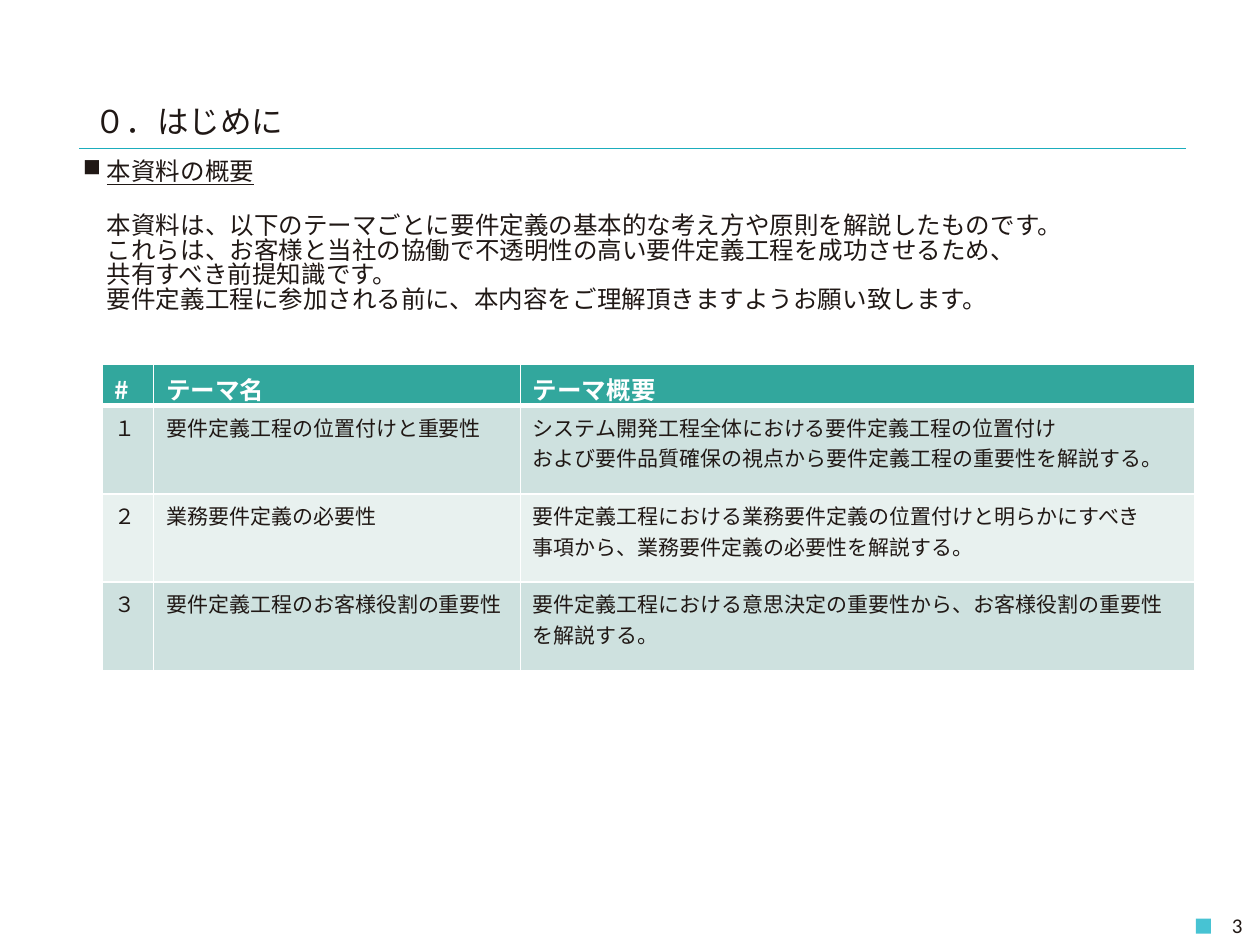
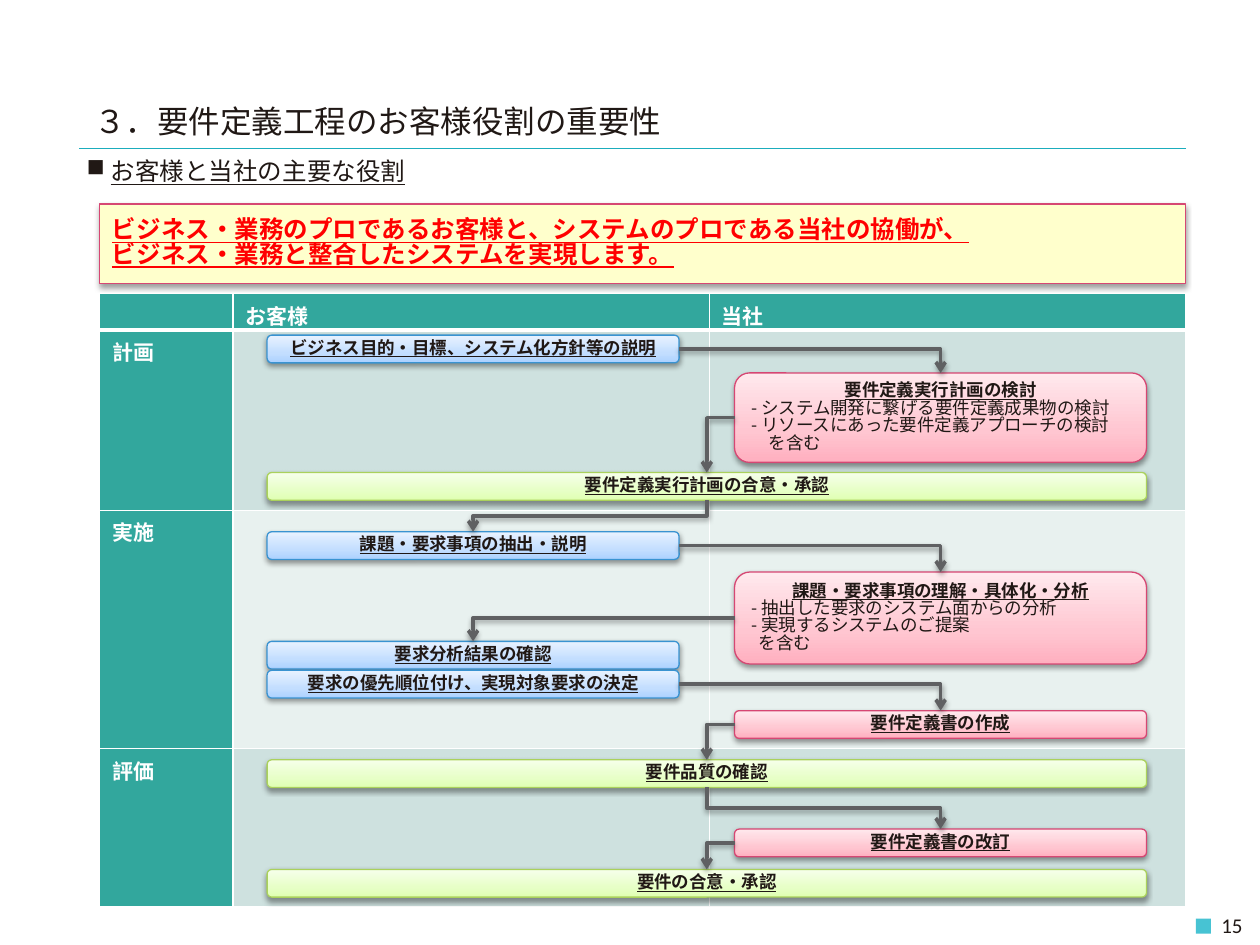
from dataclasses import dataclass

from lxml import etree
from pptx import Presentation
from pptx.dml.color import RGBColor
from pptx.enum.shapes import MSO_CONNECTOR, MSO_SHAPE
from pptx.enum.text import MSO_ANCHOR, PP_ALIGN
from pptx.oxml import parse_xml
from pptx.oxml.ns import nsdecls, qn
from pptx.util import Inches, Pt

RECT, ROUND = MSO_SHAPE.RECTANGLE, MSO_SHAPE.ROUNDED_RECTANGLE
STRAIGHT, ELBOW = MSO_CONNECTOR.STRAIGHT, MSO_CONNECTOR.ELBOW
LEFT, CENTER, RIGHT = PP_ALIGN.LEFT, PP_ALIGN.CENTER, PP_ALIGN.RIGHT
TOP, MIDDLE = MSO_ANCHOR.TOP, MSO_ANCHOR.MIDDLE


@dataclass(frozen=True)
class Theme:
    font: str = "Noto Sans CJK JP"
    number_font: str = "Calibri"
    ink: str = "201815"
    white: str = "FFFFFF"
    rule: str = "1BADBD"
    marker: str = "47C3D3"
    head: str = "32A79D"
    bands: tuple = ("CEE1DF", "E8F1EF")
    note: str = "FFFFCC"
    alert: str = "FF0000"
    arrow: str = "5F6062"
    blue: tuple = ("3993D1", "ABD1FF", "C3DEFF", "E8F2FF")
    pink: tuple = ("D64773", "FFAFBF", "FFC6D1", "FFE9ED")
    green: tuple = ("AAD15C", "DFFFB1", "E7FFC7", "F6FFEA")
    title: int = 18
    body: int = 14
    small: int = 12
    step: int = 10
    tight: float = 0.83


def rgb(value):
    return RGBColor.from_string(value)


def solid(fill, color):
    fill.solid()
    fill.fore_color.rgb = rgb(color)


class Deck:
    def __init__(self, theme):
        self.t = theme
        self.prs = Presentation()
        self.prs.slide_width, self.prs.slide_height = Inches(10), Inches(7.5)
        self.s = None

    def slide(self, title, number):
        t = self.t
        self.s = self.prs.slides.add_slide(self.prs.slide_layouts[6])
        c = self.s.shapes.add_connector(
            STRAIGHT, Inches(0.63), Inches(1.18), Inches(9.41), Inches(1.18))
        self.outline(c, t.rule, 0.25)
        self.effects(c)
        self.shape(RECT, 9.49, 7.29, 0.12, 0.12, t.marker)
        tf = self.box(0.65, 0.76, 7.34, 0.39)
        self.para(tf, title, size=t.title)
        tf = self.box(8.57, 7.19, 1.39, 0.31, anchor=MIDDLE)
        self.para(tf, number, size=t.small, font=t.number_font, align=RIGHT)

    def box(self, x, y, w, h, anchor=TOP):
        tf = self.s.shapes.add_textbox(
            Inches(x), Inches(y), Inches(w), Inches(h)).text_frame
        tf.word_wrap = True
        tf.vertical_anchor = anchor
        return tf

    def para(self, tf, text, size, color=None, font=None, bold=False,
             underline=False, align=LEFT, spacing=None, after=0, indent=0,
             bullet=None):
        p = tf.paragraphs[0]
        if p.runs:
            p = tf.add_paragraph()
        p.alignment = align
        p.space_after = Pt(after)
        if spacing:
            p.line_spacing = spacing
        pPr = p._p.get_or_add_pPr()
        if indent:
            pPr.set("marL", str(Inches(indent)))
        if bullet:
            pPr.set("indent", str(-Inches(indent)))
            etree.SubElement(pPr, qn("a:buChar")).set("char", bullet)
        for i, line in enumerate(text.split("\n")):
            if i:
                p.add_line_break()
            r = p.add_run()
            r.text = line
            f = r.font
            f.size, f.bold, f.underline = Pt(size), bold, underline
            f.name = font or self.t.font
            f.color.rgb = rgb(color or self.t.ink)
            etree.SubElement(r._r.get_or_add_rPr(), qn("a:ea")).set("typeface", f.name)
        for br in p._p.findall(qn("a:br")):
            etree.SubElement(br, qn("a:rPr")).set("sz", str(size * 100))

    def heading(self, x, w, text, h=0.34, after=0):
        tf = self.box(x, 1.23, w, h)
        self.para(tf, text, size=self.t.body, underline=True, indent=0.19,
                  bullet="■", spacing=self.t.tight, after=after)
        return tf

    def outline(self, shape, color, width):
        shape.line.color.rgb = rgb(color)
        shape.line.width = Pt(width)

    def effects(self, shape, shadow=False):
        effects = etree.SubElement(shape._element.spPr, qn("a:effectLst"))
        if shadow:
            effects.append(parse_xml(
                f'<a:outerShdw {nsdecls("a")} blurRad="40000" dist="20000" '
                'dir="5400000" rotWithShape="0"><a:srgbClr val="000000">'
                '<a:alpha val="38000"/></a:srgbClr></a:outerShdw>'))

    def shape(self, kind, x, y, w, h, fill, line=None):
        sp = self.s.shapes.add_shape(kind, Inches(x), Inches(y), Inches(w), Inches(h))
        if isinstance(fill, str):
            solid(sp.fill, fill)
        else:
            stops = "".join(
                f'<a:gs pos="{pos}000"><a:srgbClr val="{color}"/></a:gs>'
                for pos, color in zip((0, 35, 100), fill))
            sp._element.spPr.append(parse_xml(
                f'<a:gradFill {nsdecls("a")} rotWithShape="1"><a:gsLst>{stops}'
                '</a:gsLst><a:lin ang="16200000" scaled="0"/></a:gradFill>'))
        if line:
            self.outline(sp, line, 0.75)
        else:
            sp.line.fill.background()
        self.effects(sp, shadow=bool(line))
        tf = sp.text_frame
        tf.word_wrap = True
        tf.vertical_anchor = MIDDLE
        tf.margin_top = tf.margin_bottom = 0
        return sp

    def step(self, x, y, w, colors, title, details=(), h=0.22):
        t = self.t
        line, *fill = colors
        sp = self.shape(ROUND, x, y, w, h, fill, line)
        self.para(sp.text_frame, title, size=t.step, bold=True, underline=True,
                  align=CENTER, spacing=t.tight)
        for text, indent in details:
            self.para(sp.text_frame, text, size=t.step, indent=indent, spacing=t.tight)
        return sp

    def arrow(self, src, dst, vertical=False):
        src_x, dst_x = src.left + src.width // 2, dst.left + dst.width // 2
        y2 = dst.top
        if vertical:
            y1 = src.top + src.height
            cx, cy = (src_x + dst_x) // 2, (y1 + y2) // 2
            half_w, half_h = (y2 - y1) // 2, abs(dst_x - src_x) // 2
            rightward = dst_x > src_x
            side = -1 if rightward else 1
            c = self.s.shapes.add_connector(
                ELBOW, cx - side * half_w, cy - half_h, cx + side * half_w, cy + half_h)
            c._element.spPr.xfrm.set("rot", "16200000" if rightward else "5400000")
        else:
            x1 = src.left + src.width if dst_x > src_x else src.left
            y1 = src.top + src.height // 2
            c = self.s.shapes.add_connector(ELBOW, x1, y1, dst_x, y2)
            c._element.spPr.find(qn("a:prstGeom")).set("prst", "bentConnector2")
        self.outline(c, self.t.arrow, 2)
        etree.SubElement(c.line._get_or_add_ln(), qn("a:tailEnd")).set("type", "arrow")
        self.effects(c, shadow=True)

    def table(self, x, y, cols, heights, rows, head_size, head_column=False):
        t = self.t
        tbl = self.s.shapes.add_table(
            len(rows), len(cols), Inches(x), Inches(y),
            Inches(sum(cols)), Inches(sum(heights))).table
        tbl.first_row = tbl.horz_banding = False
        for col, w in zip(tbl.columns, cols):
            col.width = Inches(w)
        for i, (row, h) in enumerate(zip(rows, heights)):
            tbl.rows[i].height = Inches(h)
            for j, text in enumerate(row):
                cell = tbl.cell(i, j)
                head = i == 0 or (head_column and j == 0)
                solid(cell.fill, t.head if head else t.bands[(i - 1) % 2])
                self.borders(cell, top=3 if i == 1 else 1, bottom=3 if i == 0 else 1)
                if i == 0:
                    cell.margin_bottom = 0
                if not text:
                    end = etree.SubElement(
                        cell.text_frame.paragraphs[0]._p, qn("a:endParaRPr"))
                    end.set("sz", str(t.small * 100))
                    continue
                for line in text.split("\n"):
                    self.para(cell.text_frame, line, bold=head,
                              size=head_size if head else t.small,
                              color=t.white if head else t.ink)

    def borders(self, cell, top, bottom):
        tcPr = cell._tc.get_or_add_tcPr()
        for i, (side, width) in enumerate(zip("LRTB", (1, 1, top, bottom))):
            tcPr.insert(i, parse_xml(
                f'<a:ln{side} {nsdecls("a")} w="{Pt(width)}"><a:solidFill>'
                f'<a:srgbClr val="{self.t.white}"/></a:solidFill></a:ln{side}>'))


def introduction(d):
    t = d.t
    d.slide("０．はじめに", "3")
    tf = d.heading(0.56, 9.01, "本資料の概要", h=1.51, after=17)
    d.para(tf, "本資料は、以下のテーマごとに要件定義の基本的な考え方や原則を解説したものです。\n"
               "これらは、お客様と当社の協働で不透明性の高い要件定義工程を成功させるため、\n"
               "共有すべき前提知識です。\n"
               "要件定義工程に参加される前に、本内容をご理解頂きますようお願い致します。",
           size=t.body, indent=0.19, spacing=t.tight)
    d.table(0.81, 2.89, (0.41, 2.91, 5.35), (0.33, 0.7, 0.7, 0.7), (
        ("#", "テーマ名", "テーマ概要"),
        ("１", "要件定義工程の位置付けと重要性",
         "システム開発工程全体における要件定義工程の位置付け\n"
         "および要件品質確保の視点から要件定義工程の重要性を解説する。"),
        ("２", "業務要件定義の必要性",
         "要件定義工程における業務要件定義の位置付けと明らかにすべき\n"
         "事項から、業務要件定義の必要性を解説する。"),
        ("３", "要件定義工程のお客様役割の重要性",
         "要件定義工程における意思決定の重要性から、お客様役割の重要性を解説する。"),
    ), t.body)


def roles(d):
    t = d.t
    d.slide("３．要件定義工程のお客様役割の重要性", "15")
    d.heading(0.59, 8.9, "お客様と当社の主要な役割")
    sp = d.shape(RECT, 0.79, 1.62, 8.62, 0.63, t.note, t.pink[0])
    for line in ("ビジネス・業務のプロであるお客様と、システムのプロである当社の協働が、",
                 "ビジネス・業務と整合したシステムを実現します。"):
        d.para(sp.text_frame, line, size=t.body, color=t.alert, bold=True,
               underline=True, spacing=t.tight)
    d.table(0.79, 2.33, (1.06, 3.78, 3.78), (0.29, 1.43, 1.89, 1.26), (
        ("", "お客様", "当社"), ("計画", "", ""), ("実施", "", ""), ("評価", "", ""),
    ), t.small, head_column=True)

    def customer(y, title):
        return d.step(2.12, y, 3.27, t.blue, title)

    def vendor(y, title, details=(), h=0.22):
        return d.step(5.83, y, 3.27, t.pink, title, details, h)

    def joint(y, title):
        return d.step(2.12, y, 6.98, t.green, title)

    goals = customer(2.66, "ビジネス目的・目標、システム化方針等の説明")
    planning = vendor(2.96, "要件定義実行計画の検討", (
        ("- システム開発に繋げる要件定義成果物の検討", 0),
        ("- リソースにあった要件定義アプローチの検討", 0),
        ("を含む", 0.14)), 0.71)
    plan_ok = joint(3.75, "要件定義実行計画の合意・承認")
    requests = customer(4.22, "課題・要求事項の抽出・説明")
    analysis = vendor(4.54, "課題・要求事項の理解・具体化・分析", (
        ("- 抽出した要求のシステム面からの分析", 0),
        ("- 実現するシステムのご提案", 0),
        ("を含む", 0.06)), 0.73)
    customer(5.09, "要求分析結果の確認")
    review = d.s.shapes[-1]
    writing = vendor(5.64, "要件定義書の作成")
    quality = joint(6.03, "要件品質の確認")
    priority = customer(5.32, "要求の優先順位付け、実現対象要求の決定")
    final_ok = joint(6.9, "要件の合意・承認")
    revision = vendor(6.58, "要件定義書の改訂")

    for src, dst in ((goals, planning), (planning, plan_ok), (requests, analysis),
                     (analysis, review), (priority, writing), (writing, quality),
                     (revision, final_ok)):
        d.arrow(src, dst)
    for src, dst in ((quality, revision), (plan_ok, requests)):
        d.arrow(src, dst, vertical=True)


def main():
    d = Deck(Theme())
    introduction(d)
    roles(d)
    d.prs.save("out.pptx")


if __name__ == "__main__":
    main()
